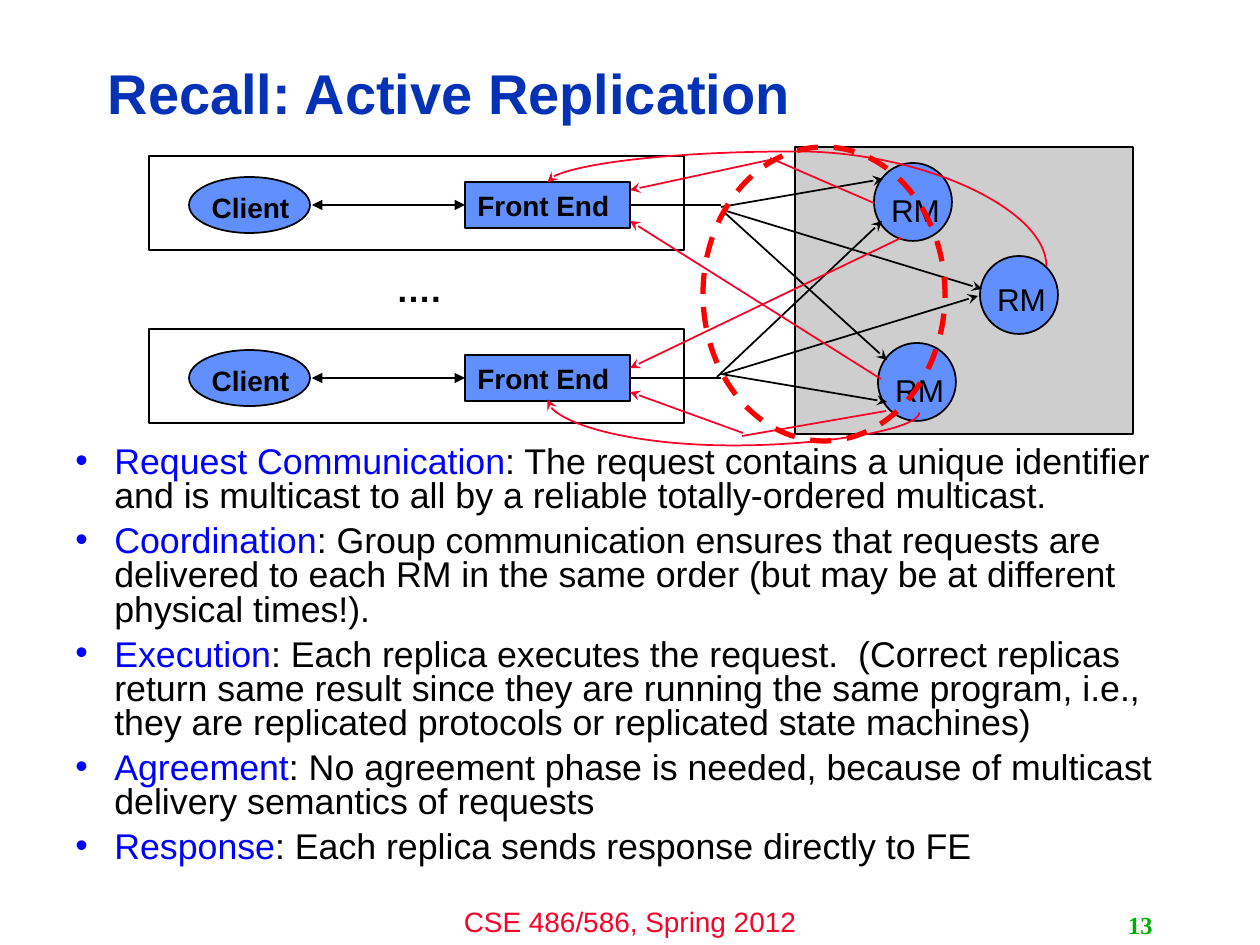
from lxml import etree
from pptx import Presentation
from pptx import util as u
from pptx.dml.color import RGBColor
from pptx.enum import dml, shapes, text
from pptx.oxml.ns import qn

PX = 914400 / 126
BLACK = RGBColor(0, 0, 0)
GRAY = RGBColor(0xCE, 0xCE, 0xCE)
SKY = RGBColor(0x61, 0x8F, 0xFD)
NAVY = RGBColor(0x03, 0x32, 0xB7)
BLUE = RGBColor(0, 0, 0xFF)
ROSE = RGBColor(0xFC, 0x01, 0x28)
RED = RGBColor(0xFF, 0, 0)
GREEN = RGBColor(0, 0xAE, 0)
RECT, OVAL = shapes.MSO_SHAPE.RECTANGLE, shapes.MSO_SHAPE.OVAL
LEFT, MID, RIGHT = text.PP_ALIGN.LEFT, text.PP_ALIGN.CENTER, text.PP_ALIGN.RIGHT
LINE, CURVE = shapes.MSO_CONNECTOR.STRAIGHT, shapes.MSO_CONNECTOR.CURVE

deck = Presentation()
deck.slide_width, deck.slide_height = u.Emu(round(1260 * PX)), u.Emu(round(945 * PX))
slide = deck.slides.add_slide(deck.slide_layouts[5])


def put(box, kind=None, fill=None, words="", size=16, bold=False,
        align=MID, color=BLACK, face="Arial"):
    """Add a shape, or a text box if no kind is given, with one line of text."""
    area = [round(n * PX) for n in box]
    if kind is None:
        item = slide.shapes.add_textbox(*area)
    else:
        item = slide.shapes.add_shape(kind, *area)
        item.shadow.inherit = False
        item.line.color.rgb, item.line.width = BLACK, u.Pt(1)
        if fill is None:
            item.fill.background()
        else:
            item.fill.solid()
            item.fill.fore_color.rgb = fill
    frame = item.text_frame
    frame.word_wrap = True
    frame.vertical_anchor = text.MSO_ANCHOR.TOP
    if words:
        para = frame.paragraphs[0]
        para.alignment = align
        run = para.add_run()
        run.text = words
        font = run.font
        font.name, font.size, font.bold = face, u.Pt(size), bold
        font.color.rgb = color
    return item


def link(ends, color=BLACK, head=None, tail=None, kind=LINE):
    """Add a connector; head is the arrow at its start, tail at its end."""
    wire = slide.shapes.add_connector(kind, *[round(n * PX) for n in ends])
    wire.line.color.rgb, wire.line.width = color, u.Pt(1)
    stroke = wire.line._get_or_add_ln()
    for tag, arrow in (("a:headEnd", head), ("a:tailEnd", tail)):
        if arrow:
            etree.SubElement(stroke, qn(tag), type=arrow)
    etree.SubElement(wire._element.spPr, qn("a:effectLst"))
    return wire


# Title
title = slide.shapes.title
title.left, title.top, title.width, title.height = [
    round(n * PX) for n in (95, 45, 1005, 102)]
title.text_frame.vertical_anchor = text.MSO_ANCHOR.MIDDLE
para = title.text_frame.paragraphs[0]
para.alignment, para.line_spacing = LEFT, 0.9
run = para.add_run()
run.text = "Recall: Active Replication"
run.font.name, run.font.size, run.font.bold = "Arial", u.Pt(32), True
run.font.color.rgb = NAVY

# Footer and slide number
put((420, 898, 420, 47), words="CSE 486/586, Spring 2012", color=ROSE)
num = put((903, 905, 262, 40), words="13", size=14, bold=True, align=RIGHT,
          color=GREEN, face="Times New Roman")
num.text_frame.vertical_anchor = text.MSO_ANCHOR.MIDDLE

# Phases
points = [
    ("Request Communication", ": The request contains a unique identifier and is "
     "multicast to all by a reliable totally-ordered multicast."),
    ("Coordination", ": Group communication ensures that requests are delivered to "
     "each RM in the same order (but may be at different physical times!)."),
    ("Execution", ": Each replica executes the request.  (Correct replicas return "
     "same result since they are running the same program, i.e., they are "
     "replicated protocols or replicated state machines)"),
    ("Agreement", ": No agreement phase is needed, because of multicast delivery "
     "semantics of requests"),
    ("Response", ": Each replica sends response directly to FE"),
]
frame = put((63, 441, 1134, 441)).text_frame
for i, point in enumerate(points):
    para = frame.add_paragraph() if i else frame.paragraphs[0]
    props = para._p.get_or_add_pPr()
    props.set("marL", str(round(39 * PX)))
    props.set("indent", str(round(-39 * PX)))
    etree.SubElement(props, qn("a:buFont"), typeface="Arial")
    etree.SubElement(props, qn("a:buChar"), char="•")
    para.line_spacing = 0.8
    if i:
        para.space_before = u.Pt(6)
    for words, color in zip(point, (BLUE, BLACK)):
        run = para.add_run()
        run.text = words
        run.font.name, run.font.size = "Arial", u.Pt(20.4)
        run.font.color.rgb = color

# Replica group
put((795, 147, 338, 287), RECT, GRAY)
for x, y, drop in ((980, 256, 18), (874, 163, 22), (878, 343, 22)):
    put((x, y, 78, 78), OVAL, SKY)
    put((x - 5, y + drop, 93, 47), words="RM", size=18)

# Clients and front ends
for y in (156, 329):
    put((149, y, 535, 94), RECT)
    put((189, y + 21, 121, 56), OVAL, SKY)
    put((190, y + 28, 121, 47), words="Client", bold=True)
    front = put((465, y + 26, 165, 46), RECT, SKY, "Front End", bold=True, align=LEFT)
    mid = y + 49
    call = link((312, mid, 465, mid), head="triangle", tail="triangle")
    call.end_connect(front, 1)
    trunk = link((630, mid, 721, mid))
    trunk.begin_connect(front, 3)
put((328, 261, 181, 55), words="….", size=20, bold=True)

# Requests
for ends in ((721, 207, 883, 179), (723, 210, 982, 289), (725, 213, 887, 360),
             (717, 377, 882, 221), (721, 374, 887, 402), (723, 374, 978, 296)):
    link(ends, tail="stealth")

# Responses
for ends in ((874, 203, 770, 158), (886, 411, 742, 436)):
    link(ends, ROSE)
for ends in ((774, 159, 630, 190), (881, 379, 630, 221),
             (743, 433, 630, 392), (901, 238, 630, 368)):
    link(ends, ROSE, tail="stealth")
for ends, turn, bend in (((755, 474, 839, -25), 270, 137000),
                         ((740, 220, 727, 592), 90, -253800)):
    arc = link(ends, ROSE, tail="stealth", kind=CURVE)
    props = arc._element.spPr
    props.find(qn("a:xfrm")).set("rot", str(turn * 60000))
    shape = props.find(qn("a:prstGeom"))
    guides = shape.find(qn("a:avLst"))
    if guides is None:
        guides = etree.SubElement(shape, qn("a:avLst"))
    etree.SubElement(guides, qn("a:gd"), name="adj1", fmla=f"val {bend}")

# Multicast highlight
ring = put((703, 147, 242, 294), OVAL)
ring.line.color.rgb, ring.line.width = RED, u.Pt(3)
ring.line.dash_style = dml.MSO_LINE.DASH

deck.save("out.pptx")
